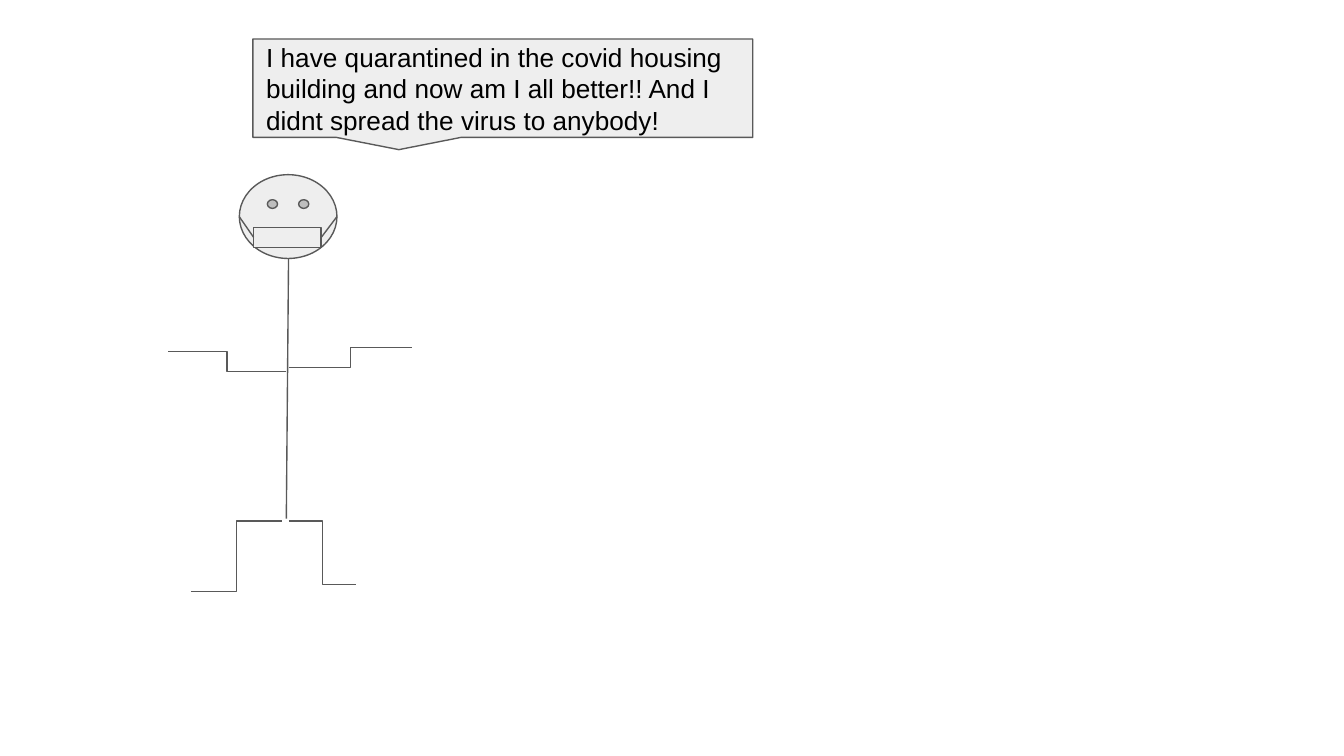
from lxml.etree import SubElement
from pptx import Presentation
from pptx.dml.color import RGBColor
from pptx.enum.shapes import MSO_CONNECTOR as Link, MSO_SHAPE as Preset
from pptx.enum.text import MSO_ANCHOR, PP_ALIGN
from pptx.oxml.ns import qn
from pptx.util import Pt

COLORS = {"fill": "EEEEEE", "line": "595959", "text": "000000"}
SPEECH = ("I have quarantined in the covid housing building and now am I "
          "all better!! And I didnt spread the virus to anybody!")

# Left, top, width, height in points
HEAD = (128.2, 93.6, 52.3, 44.9)
MASK = (135.9, 121.8, 36.2, 10.8)
BUBBLE = (135.5, 20.9, 267.8, 52.7)

# Start and end points of the limbs, in points
SPINE = ((153.4, 277.9), (154.6, 138.7))
LIMBS = [
    ((154.8, 196.8), (220.8, 186.2)),  # right arm
    ((153.4, 199), (90, 188.2)),       # left arm
    ((154.8, 279.2), (190.8, 313.2)),  # right leg
    ((102.2, 316.8), (151.2, 279.2)),  # left leg
]
STRAP_TOP, STRAP_BOTTOM = 116.1, 127.2

prs = Presentation()
prs.slide_width, prs.slide_height = Pt(720), Pt(405)
slide = prs.slides.add_slide(prs.slide_layouts[6])


def color(name):
    return RGBColor.from_string(COLORS[name])


def outline(part):
    part.line.color.rgb = color("line")
    part.line.width = Pt(0.75)


def add_solid(preset, box):
    solid = slide.shapes.add_shape(preset, *map(Pt, box))
    solid.shadow.inherit = False
    solid.fill.solid()
    solid.fill.fore_color.rgb = color("fill")
    outline(solid)
    return solid


def add_stroke(kind, start, end):
    stroke = slide.shapes.add_connector(kind, *map(Pt, start + end))
    outline(stroke)
    SubElement(stroke._element.spPr, qn("a:effectLst"))


# Head and body
add_solid(Preset.SMILEY_FACE, HEAD)
add_stroke(Link.STRAIGHT, *SPINE)
for start, end in LIMBS:
    add_stroke(Link.ELBOW, start, end)

# Mask with a strap to each side of the head
add_solid(Preset.RECTANGLE, MASK)
for head_x, mask_x in ((HEAD[0] + HEAD[2], MASK[0] + MASK[2]),
                       (HEAD[0], MASK[0])):
    add_stroke(Link.STRAIGHT, (head_x, STRAP_TOP), (mask_x, STRAP_BOTTOM))

# Speech bubble
bubble = add_solid(Preset.ROUNDED_RECTANGULAR_CALLOUT, BUBBLE)
for index, value in enumerate((-0.208, 0.625, 0)):
    bubble.adjustments[index] = value
frame = bubble.text_frame
frame.word_wrap = True
frame.vertical_anchor = MSO_ANCHOR.MIDDLE
frame.margin_left = frame.margin_right = Pt(7.2)
frame.margin_top = frame.margin_bottom = Pt(7.2)
paragraph = frame.paragraphs[0]
paragraph.alignment = PP_ALIGN.LEFT
speech = paragraph.add_run()
speech.text = SPEECH
speech.font.name = "Arial"
speech.font.size = Pt(14)
speech.font.color.rgb = color("text")

prs.save("out.pptx")
